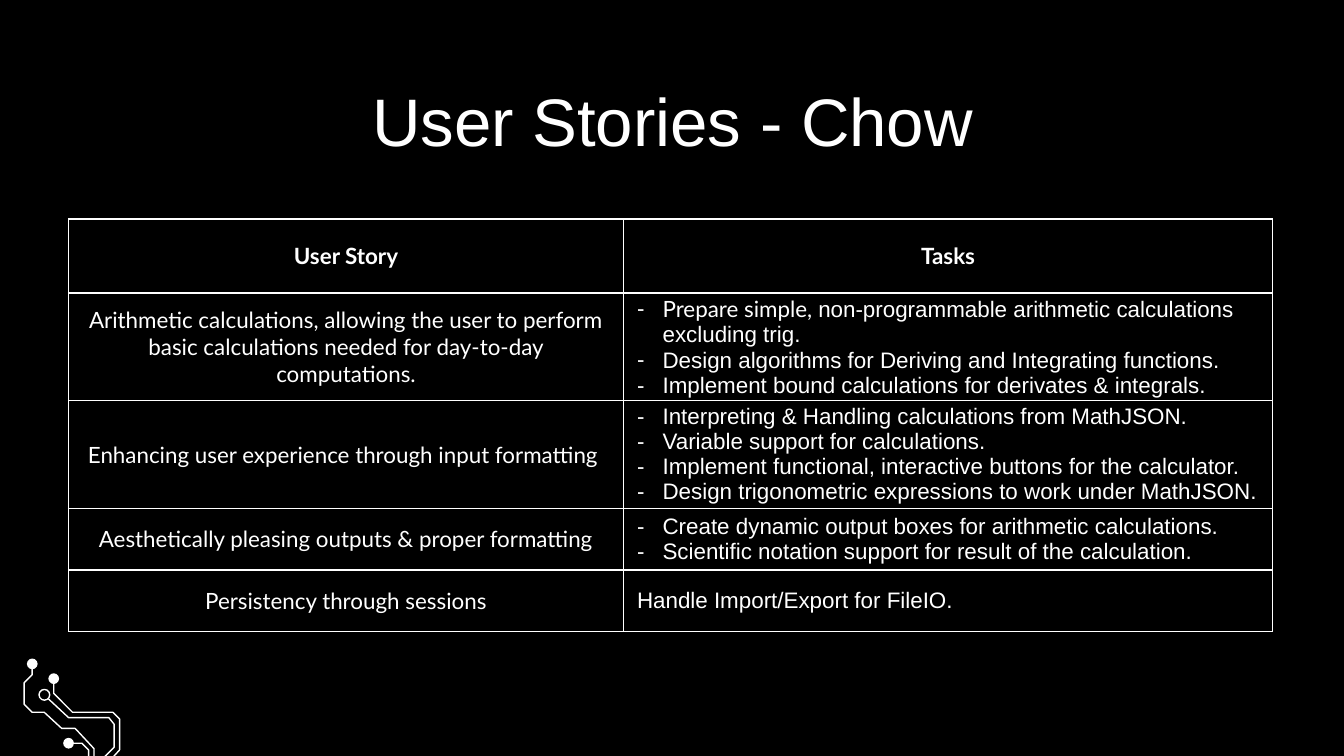
from dataclasses import dataclass

from lxml.etree import SubElement
from pptx import Presentation
from pptx.dml.color import RGBColor
from pptx.enum.shapes import MSO_SHAPE
from pptx.enum.text import MSO_ANCHOR, PP_ALIGN
from pptx.oxml.ns import qn
from pptx.util import Inches, Pt


@dataclass(frozen=True)
class Theme:
    background: str = "000000"
    foreground: str = "FFFFFF"
    title_font: str = "Arial"
    label_font: str = "Lato"
    title_size: int = 36
    table_size: int = 12
    line_width: float = 0.75
    bullet_indent: float = 0.19


def apply_format(target, values):
    for name, value in values.items():
        setattr(target, name, value)


class StoryPage:
    def __init__(self, deck, theme):
        self.theme = theme
        self.page = deck.slides.add_slide(deck.slide_layouts[6])
        self.ink = RGBColor.from_string(theme.foreground)
        fill = self.page.background.fill
        fill.solid()
        fill.fore_color.rgb = RGBColor.from_string(theme.background)

    def add_span(self, para, text, font, size, bold=False):
        span = para.add_run()
        span.text = text
        apply_format(span.font, {"name": font, "size": Pt(size), "bold": bold})
        span.font.color.rgb = self.ink

    def add_title(self, text, left, top, width, height):
        box = self.page.shapes.add_textbox(
            Inches(left), Inches(top), Inches(width), Inches(height))
        frame = box.text_frame
        apply_format(frame, {
            "word_wrap": True,
            "vertical_anchor": MSO_ANCHOR.TOP,
            "margin_top": Inches(0.1),
            "margin_bottom": Inches(0.1),
        })
        para = frame.paragraphs[0]
        para.alignment = PP_ALIGN.CENTER
        self.add_span(para, text, self.theme.title_font, self.theme.title_size)

    def add_trace(self, points):
        start, *corners = [(Inches(x), Inches(y)) for x, y in points]
        builder = self.page.shapes.build_freeform(*start)
        builder.add_line_segments(corners, close=False)
        trace = builder.convert_to_shape()
        trace.fill.background()
        self.outline(trace)

    def add_node(self, center_x, center_y, filled=True, size=0.08):
        node = self.page.shapes.add_shape(
            MSO_SHAPE.OVAL, Inches(center_x - size / 2),
            Inches(center_y - size / 2), Inches(size), Inches(size))
        if filled:
            node.fill.solid()
            node.fill.fore_color.rgb = self.ink
            node.line.fill.background()
            node.shadow.inherit = False
        else:
            node.fill.background()
            self.outline(node)

    def outline(self, shape):
        shape.shadow.inherit = False
        shape.line.color.rgb = self.ink
        shape.line.width = Pt(self.theme.line_width)

    def add_bullet(self, para):
        properties = para._p.get_or_add_pPr()
        indent = Inches(self.theme.bullet_indent)
        properties.set("marL", str(indent))
        properties.set("indent", str(-indent))
        color = SubElement(properties, qn("a:buClr"))
        SubElement(color, qn("a:srgbClr"), val=self.theme.foreground)
        SubElement(properties, qn("a:buFont"), typeface=self.theme.title_font)
        SubElement(properties, qn("a:buChar"), char="-")

    def add_borders(self, cell):
        properties = cell._tc.get_or_add_tcPr()
        for side in ("lnL", "lnR", "lnT", "lnB"):
            border = SubElement(properties, qn(f"a:{side}"),
                                w=str(Pt(self.theme.line_width)))
            fill = SubElement(border, qn("a:solidFill"))
            SubElement(fill, qn("a:srgbClr"), val=self.theme.foreground)

    def fill_cell(self, cell, paragraphs, centered, bold, margin):
        self.add_borders(cell)
        cell.fill.background()
        apply_format(cell, {
            "vertical_anchor": MSO_ANCHOR.MIDDLE,
            "margin_left": Inches(0.1),
            "margin_right": Inches(0.1),
            "margin_top": Inches(margin),
            "margin_bottom": Inches(margin),
        })
        frame = cell.text_frame
        size = self.theme.table_size
        for index, spans in enumerate(paragraphs):
            para = frame.add_paragraph() if index else frame.paragraphs[0]
            para.alignment = PP_ALIGN.CENTER if centered else PP_ALIGN.LEFT
            if len(paragraphs) > 1:
                self.add_bullet(para)
            para.font.size = Pt(size)
            for text, font in spans:
                self.add_span(para, text, font, size, bold)
            SubElement(para._p, qn("a:endParaRPr"), sz=str(size * 100))

    def add_story_table(self, headings, stories, left, top, widths, heights):
        table = self.page.shapes.add_table(
            len(heights), len(widths), Inches(left), Inches(top),
            Inches(sum(widths)), Inches(sum(heights))).table
        apply_format(table, {"first_row": False, "horz_banding": False})
        for column, width in zip(table.columns, widths):
            column.width = Inches(width)
        for row, height in zip(table.rows, heights):
            row.height = Inches(height)
        label = self.theme.label_font
        for column, heading in enumerate(headings):
            self.fill_cell(table.cell(0, column), [[(heading, label)]],
                           centered=True, bold=True, margin=0.05)
        for row, (story, tasks) in enumerate(stories, start=1):
            self.fill_cell(table.cell(row, 0), [[(story, label)]],
                           centered=True, bold=False, margin=0)
            self.fill_cell(table.cell(row, 1), tasks,
                           centered=False, bold=False, margin=0)


def plain_tasks(*texts):
    return [[(text, THEME.title_font)] for text in texts]


THEME = Theme()
TRACES = [
    [(0.24, 4.97), (0.24, 5.02), (0.18, 5.08), (0.18, 5.24), (0.24, 5.3),
     (0.33, 5.3), (0.46, 5.42), (0.56, 5.42), (0.7, 5.57), (0.7, 6.39),
     (1.01, 6.7), (1.01, 7.06), (0.89, 7.19), (0.84, 7.19), (0.97, 7.06),
     (0.97, 6.7), (0.66, 6.39), (0.66, 5.58), (0.61, 5.53), (0.53, 5.53)],
    [(0.36, 5.2), (0.51, 5.34), (0.81, 5.34), (0.85, 5.39), (0.85, 5.56),
     (0.74, 5.67), (0.74, 6.37), (1.05, 6.68), (1.05, 7.19), (0.97, 7.27)],
    [(0.4, 5.07), (0.4, 5.16), (0.54, 5.3), (0.84, 5.3), (0.89, 5.35),
     (0.89, 5.58), (0.79, 5.69), (0.79, 6.35), (1.09, 6.65), (1.09, 8.69)],
]
NODES = [(0.4, 5.05), (0.24, 4.94), (0.51, 5.53)]
RING = (0.33, 5.17)
STORIES = [
    ("Arithmetic calculations, allowing the user to perform basic "
     "calculations needed for day-to-day computations.",
     [[("Prepare simple, ", THEME.label_font),
       ("non-programmable arithmetic calculations excluding trig.",
        THEME.title_font)]]
     + plain_tasks(
         "Design algorithms for Deriving and Integrating functions.",
         "Implement bound calculations for derivates & integrals.")),
    ("Enhancing user experience through input formatting ",
     plain_tasks(
         "Interpreting & Handling calculations from MathJSON.",
         "Variable support for calculations.",
         "Implement functional, interactive buttons for the calculator.",
         "Design trigonometric expressions to work under MathJSON.")),
    ("Aesthetically pleasing outputs & proper formatting",
     plain_tasks(
         "Create dynamic output boxes for arithmetic calculations.",
         "Scientific notation support for result of the calculation.")),
    ("Persistency through sessions",
     plain_tasks("Handle Import/Export for FileIO.")),
]


def main():
    deck = Presentation()
    width = Inches(10)
    apply_format(deck, {"slide_width": width, "slide_height": width * 9 // 16})
    page = StoryPage(deck, THEME)
    for points in TRACES:
        page.add_trace(points)
    for center in NODES:
        page.add_node(*center)
    page.add_node(*RING, filled=False)
    page.add_title("User Stories - Chow", 0.79, 0.49, 8.43, 0.63)
    page.add_story_table(("User Story", "Tasks"), STORIES, 0.51, 1.63,
                         widths=(4.13, 4.83),
                         heights=(0.55, 0.76, 0.74, 0.46, 0.46))
    deck.save("out.pptx")


if __name__ == "__main__":
    main()
